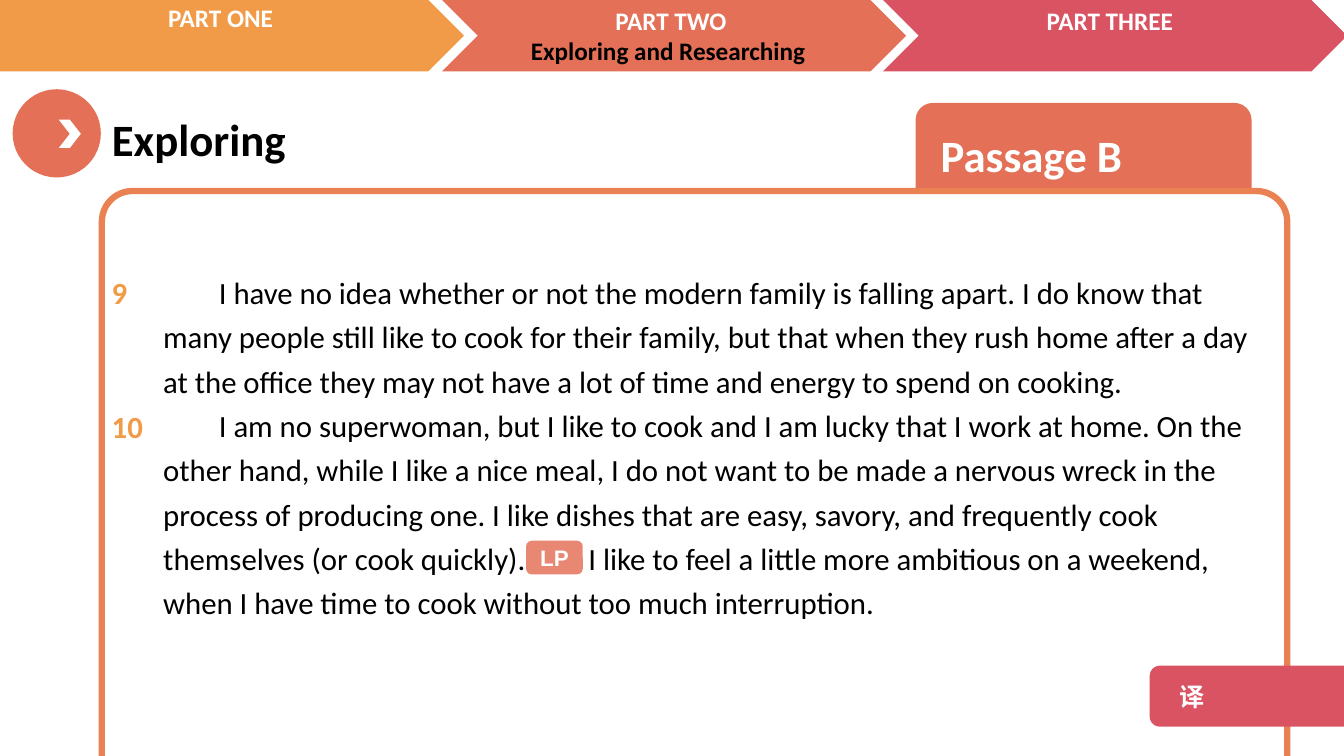
from lxml import etree
from pptx import Presentation
from pptx.dml.color import RGBColor
from pptx.enum.shapes import MSO_SHAPE
from pptx.enum.text import MSO_ANCHOR, PP_ALIGN
from pptx.oxml.ns import qn
from pptx.util import Emu, Pt

CHEVRON, OVAL, ROUND = MSO_SHAPE.CHEVRON, MSO_SHAPE.OVAL, MSO_SHAPE.ROUNDED_RECTANGLE
LEFT, CENTER = PP_ALIGN.LEFT, PP_ALIGN.CENTER
TOP, MIDDLE = MSO_ANCHOR.TOP, MSO_ANCHOR.MIDDLE

CORAL, ROSE, AMBER = "E47057", "DA5362", "F19B48"
EDGE, WHITE, BLACK = "EA8152", "FFFFFF", "000000"
HAN = "Noto Sans CJK SC"

PARTS = [
    (421, 442, CORAL, -1, 0, [("PART TWO", WHITE), ("Exploring and Researching ", BLACK)]),
    (841, 442, ROSE, -3, 0, [("PART THREE", WHITE)]),
    (-59, 501, AMBER, 50, -3, [("PART ONE", WHITE)]),
]
STORY = [
    ["I have no idea whether or not the modern family is falling apart. I do know that "
     "many people still like to cook for their family, but that when they rush home after "
     "a day at the office they may not have a lot of time and energy to spend on cooking."],
    ["I am no superwoman, but I like to cook and I am lucky that I work at home. On the "
     "other hand, while I like a nice meal, I do not want to be made a nervous wreck in the "
     "process of producing one. I like dishes that are easy, savory, and frequently cook "
     "themselves (or cook quickly).",
     " ",
     "I like to feel a little more ambitious on a weekend, "
     "when I have time to cook without too much interruption."],
]


def px(n):
    return Emu(n * 9525)


def paint(tint):
    return RGBColor.from_string(tint)


def shape(slide, kind, box, fill, line=None, adj=None, alpha=None):
    item = slide.shapes.add_shape(kind, *map(px, box))
    item.shadow.inherit = False
    item.fill.solid()
    item.fill.fore_color.rgb = paint(fill)
    if line:
        item.line.color.rgb = paint(line)
        item.line.width = Pt(4.5)
    else:
        item.line.fill.background()
    if adj is not None:
        item.adjustments[0] = adj
    if alpha:
        tone = item.fill._xPr.find(".//" + qn("a:srgbClr"))
        etree.SubElement(tone, qn("a:alpha"), val=str(alpha * 1000))
    return item


def area(slide, box):
    return slide.shapes.add_textbox(*map(px, box))


def write(item, lines, size=18, font="Calibri", tint=WHITE, bold=True, align=LEFT,
          anchor=TOP, inset=None, space=None, first=0, gap=0, hole=0):
    frame = item.text_frame
    frame.word_wrap = True
    frame.vertical_anchor = anchor
    if inset is not None:
        frame.margin_left = px(inset)
    for i, line in enumerate(lines):
        words, tone = line if isinstance(line, tuple) else (line, tint)
        para = frame.add_paragraph() if i else frame.paragraphs[0]
        para.alignment = align
        if space:
            para.line_spacing = space
        if i and gap:
            para.space_before = Pt(gap)
        if first:
            props = para._p.get_or_add_pPr()
            props.set("marL", "0")
            props.set("indent", str(px(first)))
        for piece in words if isinstance(words, list) else [words]:
            run = para.add_run()
            run.text = piece
            run.font.name = font
            run.font.size = Pt(size)
            run.font.bold = bold
            run.font.color.rgb = paint(tone)
            look = run._r.get_or_add_rPr()
            if piece == " ":
                look.set("spc", str(hole * 100))
            if font == HAN:
                etree.SubElement(look, qn("a:ea"), typeface=font)


def banner(slide, x, y, tall):
    for left, wide, fill, dx, dy, lines in PARTS:
        shape(slide, CHEVRON, (x + left, y, wide, tall), fill)
        label = area(slide, (x + left + dx, y + dy, 438, tall))
        write(label, lines, align=CENTER)


def heading(slide, x, y, w, h):
    shape(slide, OVAL, (x, y, h, h), CORAL)
    shape(slide, CHEVRON, (x + 44, y + 29, 21, 27), WHITE)
    title = slide.shapes.title
    title.left, title.top = px(x + h + 1), px(y + 17)
    title.width, title.height = px(w - h - 1), px(61)
    write(title, ["Exploring"], size=32, tint=BLACK)


def passage(slide, x, y, w, h):
    flag = shape(slide, ROUND, (x + 775, y - 84, 320, 98), CORAL)
    write(flag, ["Passage B"], size=32, anchor=MIDDLE, inset=19)
    shape(slide, ROUND, (x, y, w, h), WHITE, line=EDGE, adj=0.047)
    body = area(slide, (x + 49, y + 67, w - 49, 350))
    write(body, STORY, size=22, tint=BLACK, bold=False, space=1.2, first=53, hole=40)
    marks = area(slide, (x, y + 67, 49, 200))
    write(marks, ["9", "10"], size=22, tint=AMBER, space=1.2, gap=64)
    badge = shape(slide, ROUND, (x + 404, y + 333, 54, 32), CORAL, alpha=83)
    write(badge, ["LP"], size=16, font="Arial", align=CENTER, anchor=MIDDLE)


def button(slide, box):
    item = shape(slide, ROUND, box, ROSE)
    write(item, ["译"], font=HAN, anchor=MIDDLE, inset=26)


def main():
    deck = Presentation()
    deck.slide_width, deck.slide_height = px(1280), px(720)
    slide = deck.slides.add_slide(deck.slide_layouts[5])
    banner(slide, 0, 0, 68)
    heading(slide, 12, 85, 551, 84)
    passage(slide, 97, 182, 1129, 619)
    button(slide, (1095, 634, 204, 58))
    deck.save("out.pptx")


if __name__ == "__main__":
    main()
